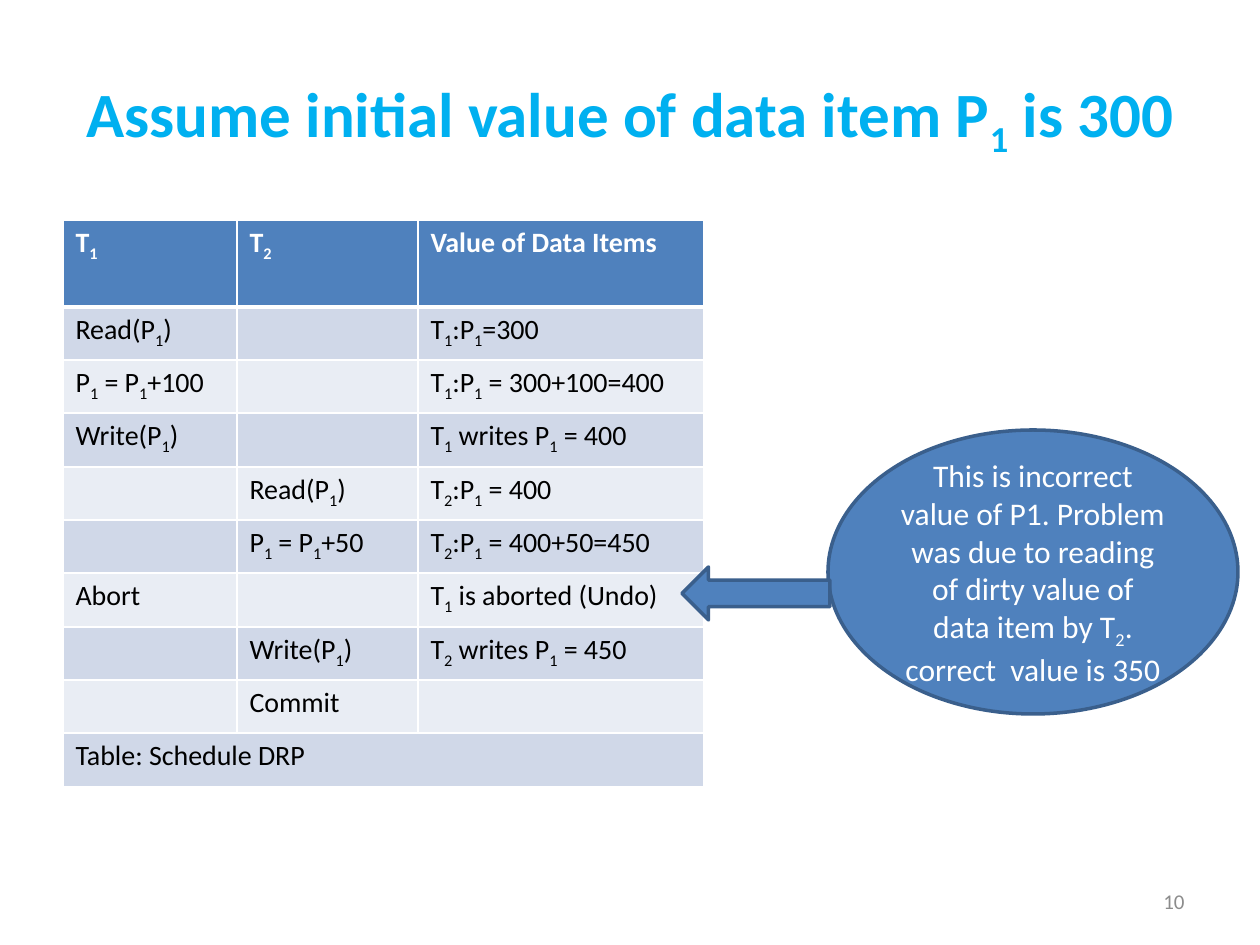
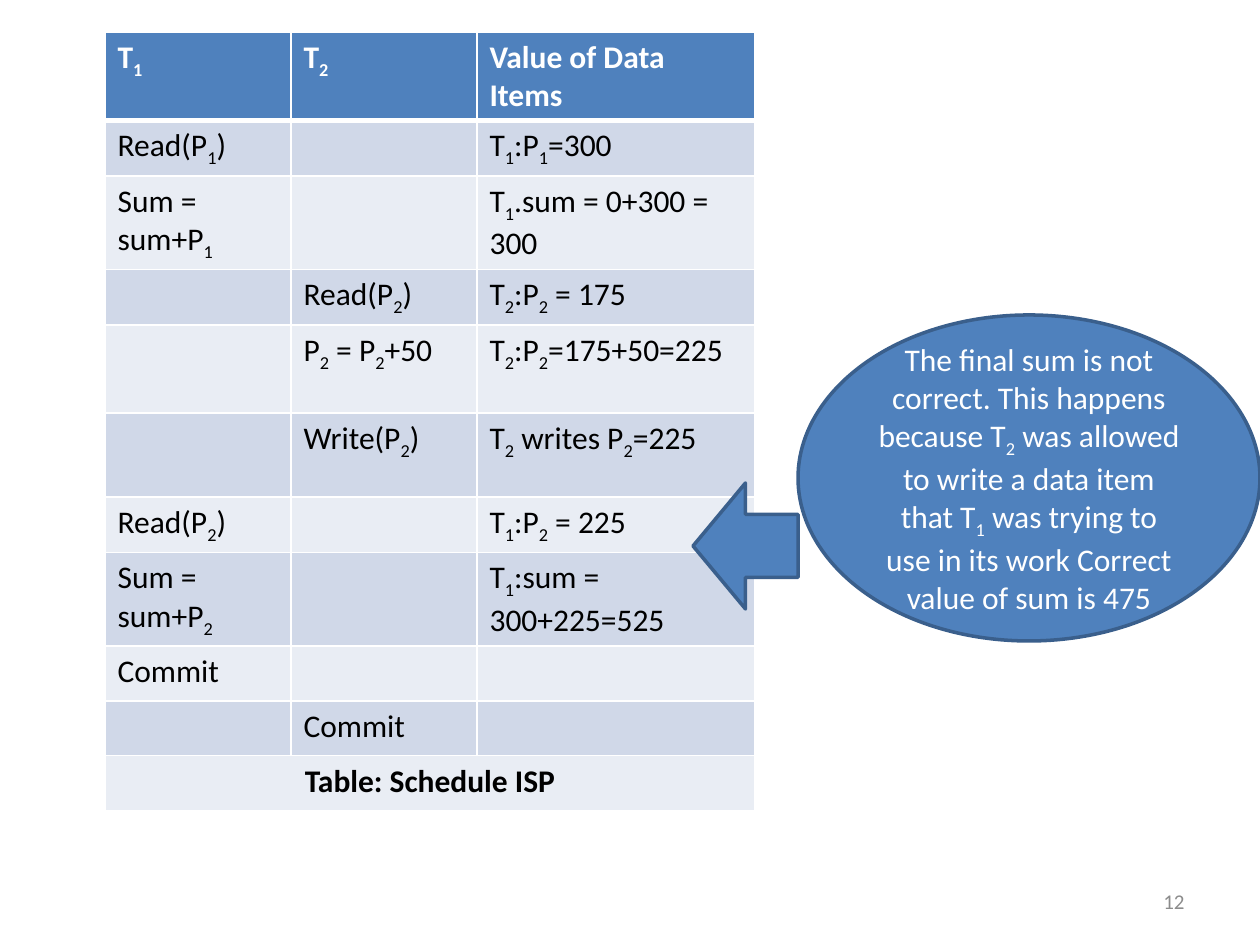
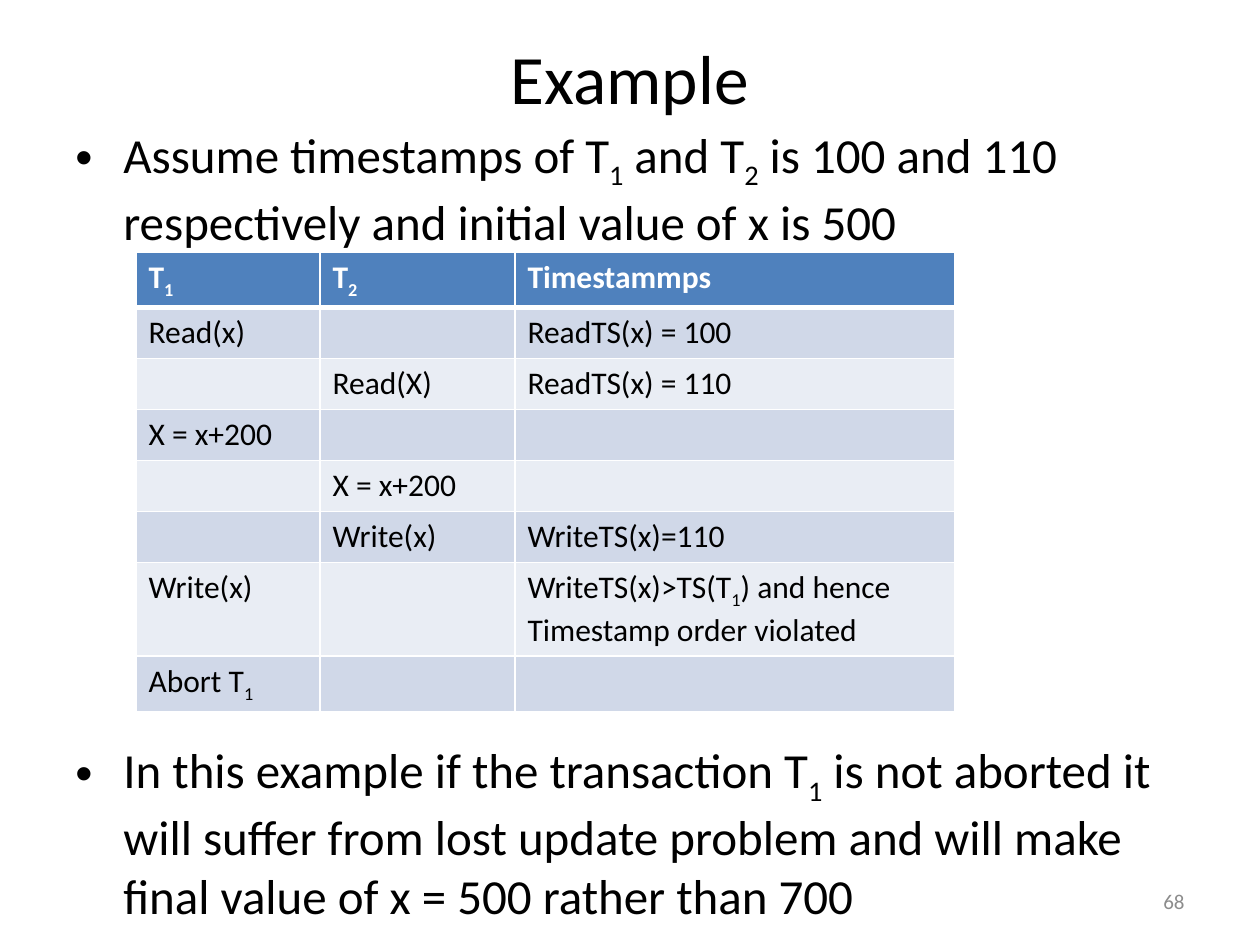
from dataclasses import dataclass

from pptx import Presentation
from pptx.dml.color import RGBColor
from pptx.enum.shapes import MSO_SHAPE
from pptx.enum.text import MSO_ANCHOR, PP_ALIGN
from pptx.oxml.ns import qn
from pptx.util import Emu, Pt
from lxml.etree import SubElement

PIXELS_PER_INCH = 126
BLANK_LAYOUT = 6


@dataclass(frozen=True)
class Theme:
    font: str = "Calibri"
    accent: str = "4F81BD"
    outline: str = "3A5F8C"
    headline: str = "00B0F0"
    ink: str = "000000"
    paper: str = "FFFFFF"
    muted: str = "8C8C8C"
    bands: tuple = ("E9EDF4", "D0D8E8")
    headline_size: float = 36
    title_size: float = 39.6
    body_size: float = 28
    note_size: float = 18
    footer_size: float = 12
    outline_width: float = 2
    rule_width: float = 1
    header_rule_width: float = 3


def px(length):
    return Emu(round(length * 914400 / PIXELS_PER_INCH))


def color(value):
    return RGBColor.from_string(value)


def write(para, text, *, font, size, ink, bold=False, align=PP_ALIGN.LEFT):
    """Fill a paragraph; the character after each underscore is a subscript."""
    para.alignment = align
    first, *rest = text.split("_")
    pieces = [(first, False)]
    for part in rest:
        pieces += [(part[0], True), (part[1:], False)]
    for piece, lowered in pieces:
        if not piece:
            continue
        span = para.add_run()
        span.text = piece
        span.font.name = font
        span.font.size = Pt(size)
        span.font.bold = bold
        span.font.color.rgb = color(ink)
        if lowered:
            span._r.get_or_add_rPr().set("baseline", "-25000")


def add_bullet(para, indent):
    properties = para._p.get_or_add_pPr()
    properties.set("marL", str(px(indent)))
    properties.set("indent", str(-px(indent)))
    SubElement(properties, qn("a:buFont"), typeface="Arial")
    SubElement(properties, qn("a:buChar"), char="•")


def add_border(cell, side, width, ink):
    line = SubElement(cell._tc.get_or_add_tcPr(), qn(f"a:ln{side}"), w=str(Pt(width)))
    fill = SubElement(line, qn("a:solidFill"))
    SubElement(fill, qn("a:srgbClr"), val=ink)


class Deck:
    def __init__(self, theme):
        self.theme = theme
        self.presentation = Presentation()
        self.presentation.slide_width = px(1260)
        self.presentation.slide_height = px(945)
        self.page = None

    def new_page(self, number):
        layout = self.presentation.slide_layouts[BLANK_LAYOUT]
        self.page = self.presentation.slides.add_slide(layout)
        self.text(str(number), 903, 876, 294, 50, size=self.theme.footer_size,
                  ink=self.theme.muted, align=PP_ALIGN.RIGHT)

    def frame(self, left, top, width, height, anchor=MSO_ANCHOR.MIDDLE):
        box = self.page.shapes.add_textbox(px(left), px(top), px(width), px(height))
        box.text_frame.word_wrap = True
        box.text_frame.vertical_anchor = anchor
        return box.text_frame

    def text(self, text, left, top, width, height, **style):
        frame = self.frame(left, top, width, height)
        write(frame.paragraphs[0], text, font=self.theme.font, **style)

    def title(self, text, height, **style):
        self.text(text, 63, 38, 1134, height, align=PP_ALIGN.CENTER, **style)

    def bullets(self, texts, left, top, width, height, gap):
        frame = self.frame(left, top, width, height, MSO_ANCHOR.TOP)
        for index, text in enumerate(texts):
            para = frame.add_paragraph() if index else frame.paragraphs[0]
            add_bullet(para, 48)
            if index:
                para.space_before = Pt(gap)
            write(para, text, font=self.theme.font, size=self.theme.body_size,
                  ink=self.theme.ink)

    def shape(self, kind, left, top, width, height, text=""):
        theme = self.theme
        shape = self.page.shapes.add_shape(kind, px(left), px(top), px(width), px(height))
        shape.shadow.inherit = False
        shape.fill.solid()
        shape.fill.fore_color.rgb = color(theme.accent)
        shape.line.color.rgb = color(theme.outline)
        shape.line.width = Pt(theme.outline_width)
        if text:
            shape.text_frame.word_wrap = True
            shape.text_frame.vertical_anchor = MSO_ANCHOR.MIDDLE
            write(shape.text_frame.paragraphs[0], text, font=theme.font,
                  size=theme.note_size, ink=theme.paper, align=PP_ALIGN.CENTER)

    def cell(self, cell, row, text, **style):
        theme = self.theme
        thick_side = {0: "B", 1: "T"}.get(row)
        for side in "LRTB":
            width = theme.header_rule_width if side == thick_side else theme.rule_width
            add_border(cell, side, width, theme.paper)
        cell.fill.solid()
        cell.fill.fore_color.rgb = color(theme.bands[row % 2] if row else theme.accent)
        if text:
            style.setdefault("bold", row == 0)
            write(cell.text_frame.paragraphs[0], text, font=theme.font,
                  ink=theme.ink if row else theme.paper, **style)

    def schedule(self, rows, left, top, widths, heights, size, caption="", **caption_style):
        """Draw a transaction schedule, with an optional caption across the last row."""
        if caption:
            rows = rows + [(caption, "", "")]
        table = self.page.shapes.add_table(
            len(rows), len(widths), px(left), px(top),
            px(sum(widths)), px(sum(heights))).table
        for column, width in zip(table.columns, widths):
            column.width = px(width)
        for index, (texts, height) in enumerate(zip(rows, heights)):
            table.rows[index].height = px(height)
            style = caption_style if caption and index == len(rows) - 1 else {}
            for column, text in enumerate(texts):
                self.cell(table.cell(index, column), index, text, size=size, **style)
        if caption:
            last = len(rows) - 1
            table.cell(last, 0).merge(table.cell(last, len(widths) - 1))


DIRTY_READ = [
    ("T_1", "T_2", "Value of Data Items"),
    ("Read(P_1)", "", "T_1:P_1=300"),
    ("P_1 = P_1+100", "", "T_1:P_1 = 300+100=400"),
    ("Write(P_1)", "", "T_1 writes P_1 = 400"),
    ("", "Read(P_1)", "T_2:P_1 = 400"),
    ("", "P_1 = P_1+50", "T_2:P_1 = 400+50=450"),
    ("Abort", "", "T_1 is aborted (Undo)"),
    ("", "Write(P_1)", "T_2 writes P_1 = 450"),
    ("", "Commit", ""),
]

INCORRECT_SUM = [
    ("T_1", "T_2", "Value of Data Items"),
    ("Read(P_1)", "", "T_1:P_1=300"),
    ("Sum = sum+P_1", "", "T_1.sum = 0+300 = 300"),
    ("", "Read(P_2)", "T_2:P_2 = 175"),
    ("", "P_2 = P_2+50", "T_2:P_2=175+50=225"),
    ("", "Write(P_2)", "T_2 writes P_2=225"),
    ("Read(P_2)", "", "T_1:P_2 = 225"),
    ("Sum = sum+P_2", "", "T_1:sum = 300+225=525"),
    ("Commit", "", ""),
    ("", "Commit", ""),
]

TIMESTAMP_ORDER = [
    ("T_1", "T_2", "Timestammps"),
    ("Read(x)", "", "ReadTS(x) = 100"),
    ("", "Read(X)", "ReadTS(x) = 110"),
    ("X = x+200", "", ""),
    ("", "X = x+200", ""),
    ("", "Write(x)", "WriteTS(x)=110"),
    ("Write(x)", "", "WriteTS(x)>TS(T_1) and hence Timestamp order violated"),
    ("Abort T_1", "", ""),
]


def dirty_read_page(deck):
    theme = deck.theme
    deck.new_page(10)
    deck.title("Assume initial value of data item P_1 is 300", 158,
               size=theme.headline_size, ink=theme.headline, bold=True)
    deck.schedule(DIRTY_READ, 63, 220, [174, 181, 286], [87] + [53, 53, 54] * 3, 16,
                  caption="Table: Schedule DRP")
    deck.shape(MSO_SHAPE.OVAL, 828, 430, 410, 284,
               "This is incorrect value of P1. Problem was due to reading of dirty "
               "value of data item by T_2. correct  value is 350")
    deck.shape(MSO_SHAPE.LEFT_ARROW, 682, 567, 148, 53)


def incorrect_sum_page(deck):
    deck.new_page(12)
    deck.schedule(INCORRECT_SUM, 105, 32, [186, 186, 278],
                  [88, 55, 93, 55, 88, 84, 55, 93, 55, 55, 55], 18,
                  caption="Table: Schedule ISP", bold=True, align=PP_ALIGN.CENTER)
    deck.shape(MSO_SHAPE.OVAL, 798, 315, 462, 326,
               "The final sum is not correct. This happens because T_2 was allowed to "
               "write a data item that T_1 was trying to use in its work Correct value "
               "of sum is 475")
    deck.shape(MSO_SHAPE.LEFT_ARROW, 693, 483, 105, 126)


def timestamp_page(deck):
    theme = deck.theme
    deck.new_page(68)
    deck.title("Example", 78, size=theme.title_size, ink=theme.ink)
    deck.bullets([
        "Assume timestamps of T_1 and T_2 is 100 and 110 respectively and initial "
        "value of x is 500",
        "In this example if the transaction T_1 is not aborted it will suffer from lost "
        "update problem and will make final value of x = 500 rather than 700",
    ], 63, 118, 1134, 764, gap=280)
    deck.schedule(TIMESTAMP_ORDER, 136, 252, [184, 195, 440],
                  [55] + [51] * 5 + [93, 55], 18)


def main():
    deck = Deck(Theme())
    dirty_read_page(deck)
    incorrect_sum_page(deck)
    timestamp_page(deck)
    deck.presentation.save("out.pptx")


if __name__ == "__main__":
    main()
